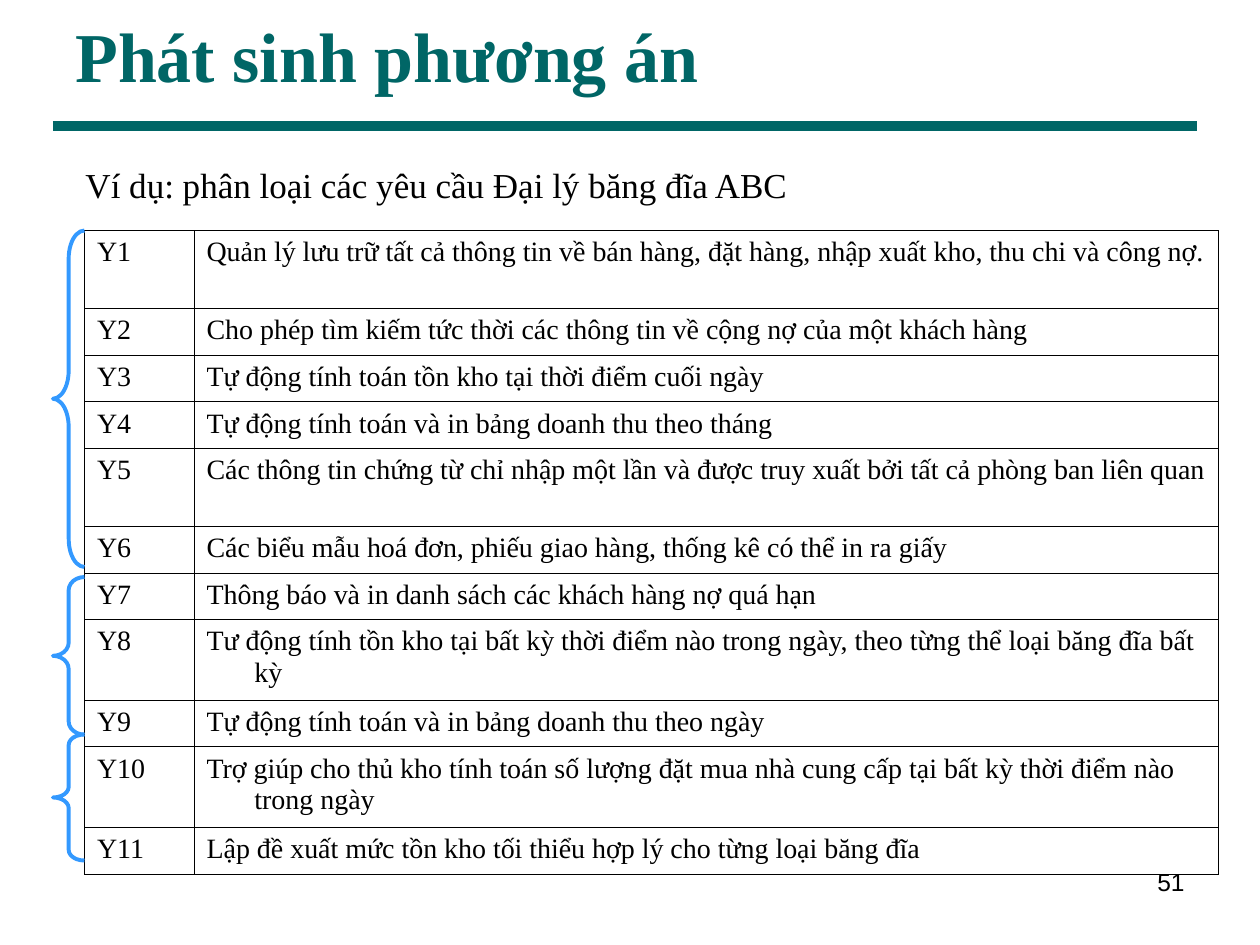
from lxml import etree
from pptx import Presentation
from pptx import util as u
from pptx.dml.color import RGBColor
from pptx.enum import shapes, text
from pptx.oxml import ns

SERIF = "Times New Roman"
TEAL, BLUE, BLACK = "006666", "3399FF", "000000"
LEFT, EDGE = 0.42, 0.67  # brace tips and table edge

NEEDS = [
    (0.62, "Quản lý lưu trữ tất cả thông tin về bán hàng, đặt hàng, nhập xuất kho, thu chi và công nợ."),
    (0.37, "Cho phép tìm kiếm tức thời các thông tin về cộng nợ của một khách hàng"),
    (0.37, "Tự động tính toán tồn kho tại thời điểm cuối ngày"),
    (0.37, "Tự động tính toán và in bảng doanh thu theo tháng"),
    (0.62, "Các thông tin chứng từ chỉ nhập một lần và được truy xuất bởi tất cả phòng ban liên quan"),
    (0.37, "Các biểu mẫu hoá đơn, phiếu giao hàng, thống kê có thể in ra giấy"),
    (0.37, "Thông báo và in danh sách các khách hàng nợ quá hạn"),
    (0.64, "Tư động tính tồn kho tại bất kỳ thời điểm nào trong ngày, theo từng thể loại băng đĩa bất kỳ"),
    (0.37, "Tự động tính toán và in bảng doanh thu theo ngày"),
    (0.64, "Trợ giúp cho thủ kho tính toán số lượng đặt mua nhà cung cấp tại bất kỳ thời điểm nào trong ngày"),
    (0.37, "Lập đề xuất mức tồn kho tối thiểu hợp lý cho từng loại băng đĩa"),
]
BRACES = [(1.83, 2.67), (4.58, 1.25), (5.83, 1)]  # top, height


def paint(color, code):
    color.rgb = RGBColor.from_string(code)


def write(frame, words, size, face=SERIF, code=BLACK, **form):
    """Put words in the frame's first paragraph; form holds more font values."""
    para = frame.paragraphs[0]
    run = para.add_run()
    run.text = words
    for key, value in dict(name=face, size=u.Pt(size), **form).items():
        setattr(run.font, key, value)
    paint(run.font.color, code)
    return para


def add_text(slide, box, words, size, wrap=True, anchor=text.MSO_ANCHOR.TOP,
             align=text.PP_ALIGN.LEFT, **form):
    frame = slide.shapes.add_textbox(*map(u.Inches, box)).text_frame
    frame.word_wrap = wrap
    frame.vertical_anchor = anchor
    write(frame, words, size, **form).alignment = align


def add_rule(slide):
    rule = slide.shapes.add_connector(
        shapes.MSO_CONNECTOR.STRAIGHT, *map(u.Inches, (LEFT, 1, 9.5, 1)))
    rule.line.width = u.Pt(6)
    paint(rule.line.color, TEAL)
    etree.SubElement(rule._element.spPr, ns.qn("a:effectLst"))


def add_brace(slide, top, height):
    width = EDGE - LEFT
    brace = slide.shapes.add_shape(
        shapes.MSO_SHAPE.LEFT_BRACE, *map(u.Inches, (LEFT, top, width, height)))
    brace.adjustments[0] = height / 12 / width
    brace.shadow.inherit = False
    brace.fill.background()
    brace.line.width = u.Pt(2.25)
    paint(brace.line.color, BLUE)


def frame_cell(cell):
    """Draw thin black borders round an unfilled cell."""
    props = cell._tc.get_or_add_tcPr()
    for side in ("lnL", "lnR", "lnT", "lnB"):
        line = etree.SubElement(props, ns.qn(f"a:{side}"), w=str(u.Pt(0.45)))
        fill = etree.SubElement(line, ns.qn("a:solidFill"))
        etree.SubElement(fill, ns.qn("a:srgbClr"), val=BLACK)
    cell.fill.background()


def fill_cell(cell, words):
    frame_cell(cell)
    props = write(cell.text_frame, words, 16)._p.get_or_add_pPr()
    hang = u.Inches(0.38)
    for key, value in {"marL": hang, "indent": -hang}.items():
        props.set(key, str(value))


def add_needs(slide):
    high = sum(row[0] for row in NEEDS)
    table = slide.shapes.add_table(
        len(NEEDS), 2, *map(u.Inches, (EDGE, 1.83, 9, high))).table
    table.first_row = table.horz_banding = False
    for col, width in zip(table.columns, (0.87, 8.13)):
        col.width = u.Inches(width)
    for num, (height, need) in enumerate(NEEDS):
        table.rows[num].height = u.Inches(height)
        fill_cell(table.cell(num, 0), f"Y{num + 1}")
        fill_cell(table.cell(num, 1), need)


def main():
    deck = Presentation()
    deck.slide_width, deck.slide_height = u.Inches(10), u.Inches(7.5)
    slide = deck.slides.add_slide(deck.slide_layouts[6])
    add_rule(slide)
    add_text(slide, (0.5, 0.3, 9, 0.27), "Phát sinh phương án", 40,
             anchor=text.MSO_ANCHOR.MIDDLE, code=TEAL, bold=True)
    add_needs(slide)
    add_text(slide, (0.58, 1.25, 5.79, 0.44),
             "Ví dụ: phân loại các yêu cầu Đại lý băng đĩa ABC", 20, wrap=False)
    for top, height in BRACES:
        add_brace(slide, top, height)
    add_text(slide, (7.17, 6.83, 2.33, 0.52), "51", 14,
             align=text.PP_ALIGN.RIGHT, face="Arial")
    deck.save("out.pptx")


if __name__ == "__main__":
    main()
